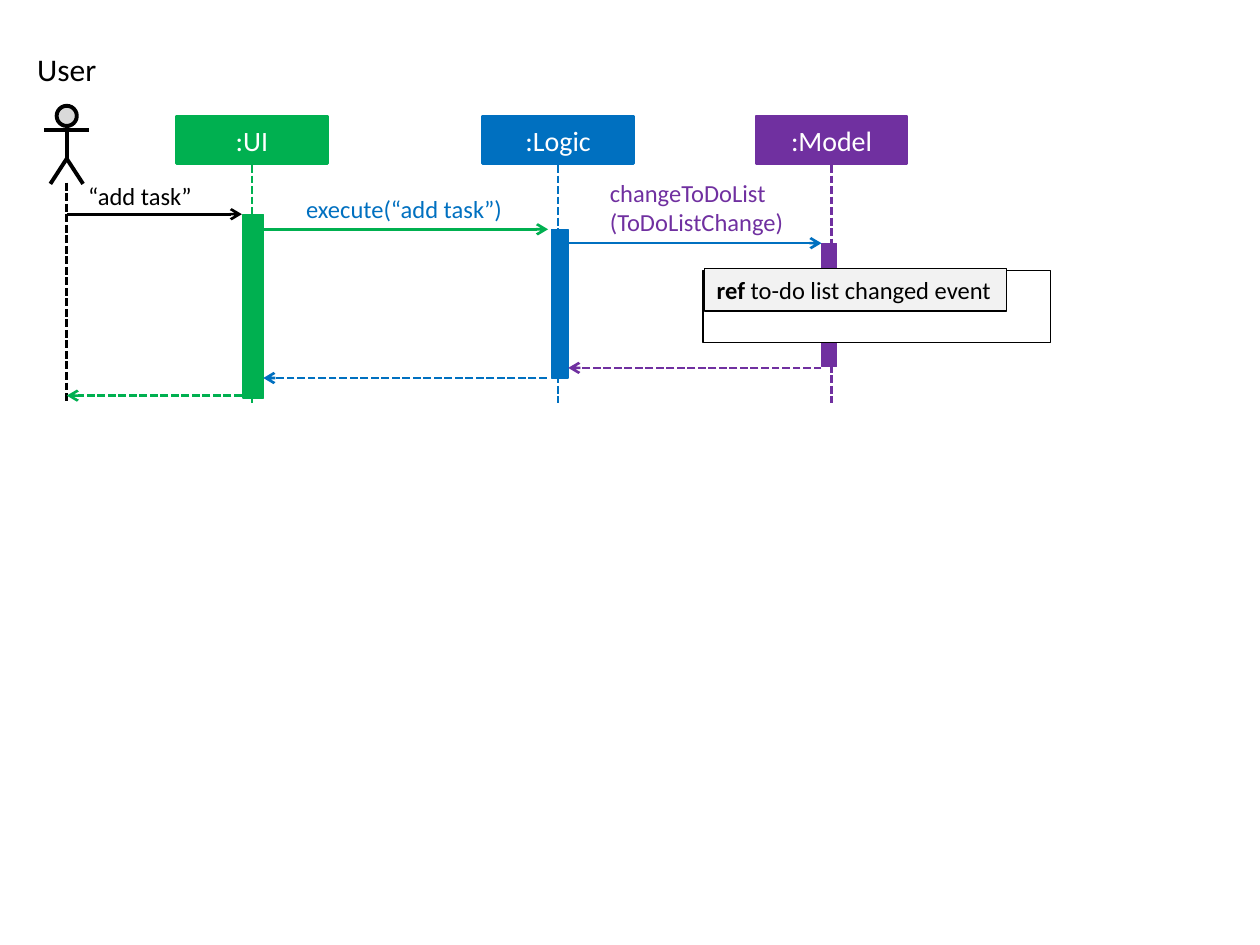
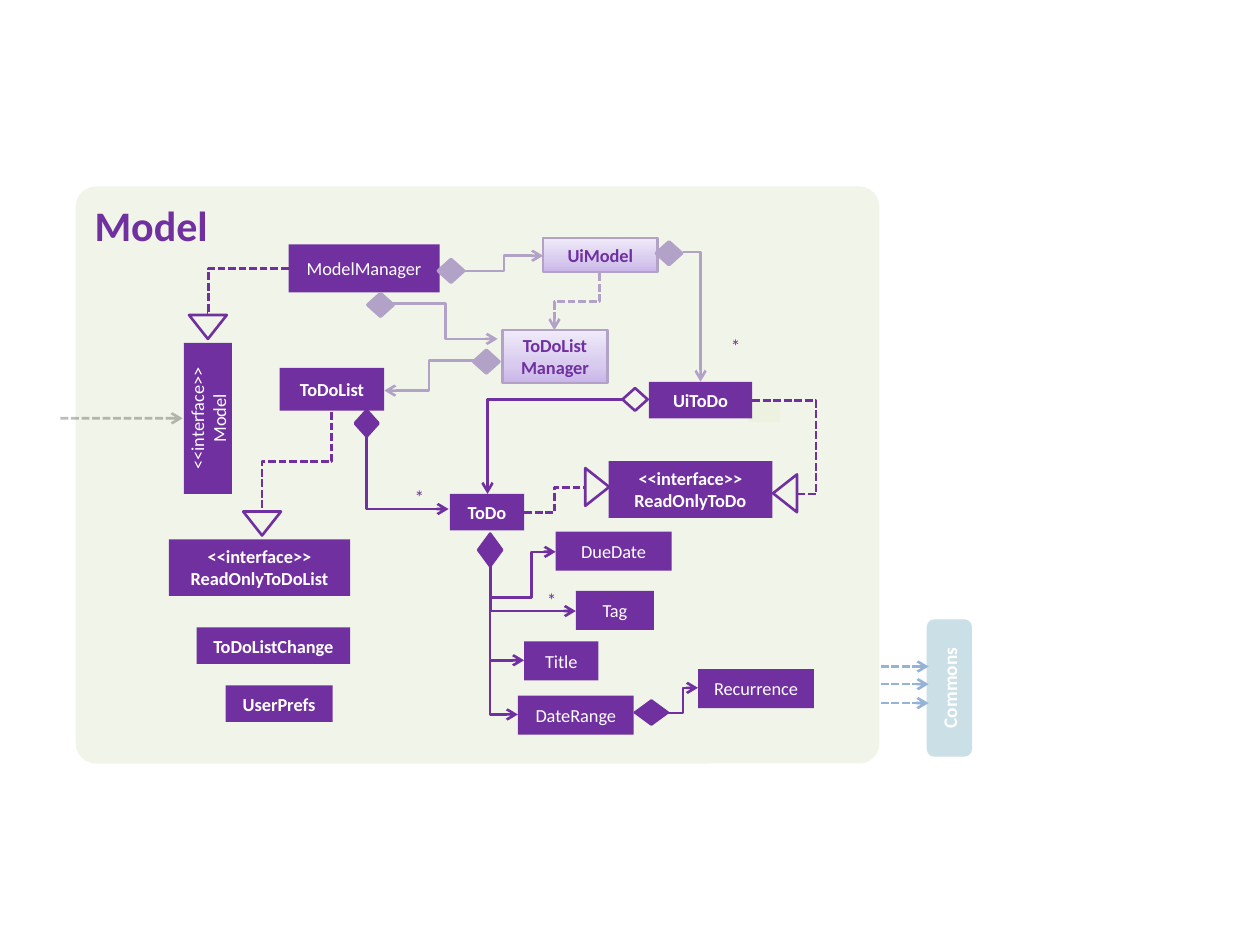
"""Build a sequence diagram slide and a class diagram slide."""
from copy import deepcopy
from dataclasses import dataclass
from typing import Any

from lxml import etree
from pptx import Presentation
from pptx import util as u
from pptx.dml.color import RGBColor
from pptx.enum import dml, shapes, text
from pptx.oxml.ns import qn

FONT = "Calibri"
COLORS = {
    "black": "000000", "white": "FFFFFF", "head": "D9D9D9", "ref": "F2F2F2",
    "ui": "00B050", "logic": "0070C0", "model": "7030A0", "lilac": "B3A2C7",
    "panel": "F1F5E9", "patch": "EBF1DE", "commons": "31859C", "commons_link": "95B3D7",
}
LILAC_GRADIENT = ((0, "C9B5E8"), (0.35, "D8CBEE"), (1, "F0EAF9"))
KIND = shapes.MSO_SHAPE
LEFT, CENTER = text.PP_ALIGN.LEFT, text.PP_ALIGN.CENTER


@dataclass
class Box:
    """A preset shape with an optional label, one paragraph per line."""
    left: float
    top: float
    width: float
    height: float
    label: str = ""
    fill: str | None = "model"
    line: str | None = None
    weight: float = 1.5
    kind: Any = KIND.RECTANGLE
    rotation: float = 0
    size: float = 10.5
    bold: bool = False
    alpha: int = 100


@dataclass
class Link:
    """A line whose route names its legs: h for horizontal, v for vertical."""
    x1: float
    y1: float
    x2: float
    y2: float
    route: str = "h"
    color: str = "model"
    dashed: bool = False
    arrow: bool = True
    bends: tuple[float, ...] = (0.5,)
    weight: float = 1.5
    alpha: int = 100


@dataclass
class Lane:
    """A participant of the sequence diagram with its activation bar."""
    label: str
    color: str
    left: float
    bar_left: float
    bar_top: float
    bar_width: float
    bar_height: float


def rgb(name: str) -> RGBColor:
    """Return a colour of the palette."""
    return RGBColor.from_string(COLORS[name])


def set_alpha(element: Any, percent: int) -> None:
    """Make every colour in an element partly transparent."""
    if percent < 100:
        for color in element.spPr.iter(qn("a:srgbClr")):
            etree.SubElement(color, qn("a:alpha")).set("val", str(percent * 1000))


def write(frame: Any, lines: list[list[tuple[str, bool]]], size: float, color: str,
          align: Any = LEFT) -> None:
    """Write paragraphs of (text, bold) runs into a text frame."""
    for index, runs in enumerate(lines):
        paragraph = frame.add_paragraph() if index else frame.paragraphs[0]
        paragraph.alignment = align
        for words, bold in runs:
            run = paragraph.add_run()
            run.text = words
            run.font.name, run.font.size, run.font.bold = FONT, u.Pt(size), bold
            run.font.color.rgb = rgb(color)


def fill_gradient(fill: Any, element: Any) -> None:
    """Fill a shape with the three-stop lilac gradient."""
    fill.gradient()
    fill.gradient_angle = 90
    stops = element.spPr.find(qn("a:gradFill")).find(qn("a:gsLst"))
    stops.insert(1, deepcopy(stops[0]))
    for stop, (position, color) in zip(fill.gradient_stops, LILAC_GRADIENT):
        stop.position = position
        stop.color.rgb = RGBColor.from_string(color)


def add_box(parent: Any, box: Box) -> Any:
    """Draw a box on a slide or in a group."""
    shape = parent.shapes.add_shape(
        box.kind, *map(u.Inches, (box.left, box.top, box.width, box.height)))
    shape.shadow.inherit = False
    shape.rotation = box.rotation
    if box.fill == "gradient":
        fill_gradient(shape.fill, shape.element)
    elif box.fill:
        shape.fill.solid()
        shape.fill.fore_color.rgb = rgb(box.fill)
    else:
        shape.fill.background()
    if box.line:
        shape.line.color.rgb = rgb(box.line)
        shape.line.width = u.Pt(box.weight)
    else:
        shape.line.fill.background()
    set_alpha(shape.element, box.alpha)
    if box.label:
        color = "model" if box.fill == "gradient" else "white"
        lines = [[(line, box.bold)] for line in box.label.split("\n")]
        write(shape.text_frame, lines, box.size, color, CENTER)
    return shape


def bend(connector: Any, link: Link) -> None:
    """Give an elbow connector its legs, turning it if it starts vertically."""
    properties = connector.element.spPr
    if link.route[0] == "v":
        dx, dy = link.x2 - link.x1, link.y2 - link.y1
        width, height = abs(dy), abs(dx)
        connector.left = u.Inches((link.x1 + link.x2 - width) / 2)
        connector.top = u.Inches((link.y1 + link.y2 - height) / 2)
        connector.width, connector.height = u.Inches(width), u.Inches(height)
        flip_h, flip_v, turn = dy < 0, dx > 0, 90
        if dx > 0 and dy > 0:
            flip_h, flip_v, turn = True, False, 270
        frame = properties.find(qn("a:xfrm"))
        frame.set("rot", str(turn * 60000))
        frame.set("flipH", str(int(flip_h)))
        frame.set("flipV", str(int(flip_v)))
    geometry = properties.find(qn("a:prstGeom"))
    geometry.set("prst", f"bentConnector{len(link.route)}")
    for old in list(geometry):
        geometry.remove(old)
    guides = etree.SubElement(geometry, qn("a:avLst"))
    if len(link.route) > 2:
        for index, value in enumerate(link.bends, 1):
            guide = etree.SubElement(guides, qn("a:gd"))
            guide.set("name", "adj1" if len(link.bends) == 1 else f"adj{index}")
            guide.set("fmla", f"val {round(value * 100000)}")


def add_link(parent: Any, link: Link) -> None:
    """Draw a straight or bent line on a slide or in a group."""
    straight = len(link.route) == 1
    kind = shapes.MSO_CONNECTOR.STRAIGHT if straight else shapes.MSO_CONNECTOR.ELBOW
    connector = parent.shapes.add_connector(
        kind, *map(u.Inches, (link.x1, link.y1, link.x2, link.y2)))
    if not straight:
        bend(connector, link)
    connector.line.color.rgb = rgb(link.color)
    connector.line.width = u.Pt(link.weight)
    if link.dashed:
        connector.line.dash_style = dml.MSO_LINE.SQUARE_DOT
    properties = connector.element.spPr
    if link.arrow:
        etree.SubElement(properties.find(qn("a:ln")), qn("a:tailEnd")).set("type", "arrow")
    etree.SubElement(properties, qn("a:effectLst"))
    set_alpha(connector.element, link.alpha)


def add_label(slide: Any, left: float, top: float, width: float, height: float,
              label: str, size: float, color: str) -> None:
    """Add a text box without margins."""
    frame = slide.shapes.add_textbox(*map(u.Inches, (left, top, width, height))).text_frame
    frame.word_wrap = True
    frame.margin_left = frame.margin_right = frame.margin_top = frame.margin_bottom = 0
    write(frame, [[(line, False)] for line in label.split("\n")], size, color)


def add_actor(slide: Any) -> None:
    """Draw the stick figure with its name and lifeline."""
    group = slide.shapes.add_group_shape()
    add_box(group, Box(0.45, 0.84, 0.16, 0.16, fill="head", line="black", weight=2.25,
                       kind=KIND.FLOWCHART_CONNECTOR))
    for ends in ((0.53, 0.99, 0.53, 1.27), (0.35, 1.03, 0.71, 1.03)):
        add_link(group, Link(*ends, color="black", arrow=False, weight=2.25))
    builder = group.shapes.build_freeform(u.Inches(0.4), u.Inches(1.46))
    builder.add_line_segments(
        [(u.Inches(0.53), u.Inches(1.26)), (u.Inches(0.66), u.Inches(1.46))], close=False)
    legs = builder.convert_to_shape()
    legs.shadow.inherit = False
    legs.fill.background()
    legs.line.color.rgb = rgb("black")
    legs.line.width = u.Pt(2.25)
    add_link(slide, Link(0.53, 1.45, 0.53, 3.2, color="black", dashed=True, arrow=False))
    frame = slide.shapes.add_textbox(*map(u.Inches, (0.19, 0.35, 0.68, 0.4))).text_frame
    frame.word_wrap = False
    write(frame, [[("User", False)]], 18, "black", CENTER)


def build_sequence(presentation: Any) -> None:
    """Build the sequence diagram."""
    slide = presentation.slides.add_slide(presentation.slide_layouts[6])
    for lane in (Lane(":UI", "ui", 1.4, 1.93, 1.7, 0.16, 1.46),
                 Lane(":Logic", "logic", 3.83, 4.38, 1.82, 0.13, 1.18),
                 Lane(":Model", "model", 6, 6.52, 1.93, 0.12, 0.98)):
        add_box(slide, Box(lane.left, 0.92, 1.2, 0.38, lane.label, lane.color, lane.color,
                           size=16))
        middle = lane.left + 0.6
        add_link(slide, Link(middle, 1.31, middle, 3.2, color=lane.color, dashed=True,
                             arrow=False))
        add_box(slide, Box(lane.bar_left, lane.bar_top, lane.bar_width, lane.bar_height,
                           fill=lane.color, line=lane.color, weight=0.75))
    add_actor(slide)
    for start, end, y, color in ((0.53, 1.92, 1.7, "black"), (2.09, 4.35, 1.82, "ui"),
                                 (4.51, 6.52, 1.93, "logic"), (6.52, 4.51, 2.92, "model"),
                                 (4.34, 2.09, 3, "logic"), (1.92, 0.53, 3.14, "ui")):
        add_link(slide, Link(start, y, end, y, color=color, dashed=end < start))
    add_label(slide, 0.7, 1.44, 0.88, 0.24, "“add task”", 14, "black")
    add_label(slide, 2.43, 1.54, 1.8, 0.24, "execute(“add task”)", 14, "logic")
    add_label(slide, 4.84, 1.41, 1.55, 0.47, "changeToDoList\n(ToDoListChange)", 14, "model")
    add_box(slide, Box(5.58, 2.15, 2.76, 0.57, fill="white", line="black", weight=0.75))
    reference = add_box(slide, Box(5.59, 2.13, 2.4, 0.34, fill="ref", line="black",
                                   weight=0.75))
    reference.text_frame.word_wrap = False
    write(reference.text_frame, [[("ref ", True), ("to-do list changed event", False)]],
          14, "black")


def add_panel(slide: Any) -> None:
    """Draw the panel behind the slide title."""
    panel = add_box(slide, Box(0.6, 1.48, 6.38, 4.58, fill="panel",
                               kind=KIND.ROUNDED_RECTANGLE))
    panel.adjustments[0] = 0.035
    title = slide.shapes.title
    title.left, title.top, title.width, title.height = map(u.Inches, (0.65, 1.53, 6.28, 0.5))
    title.text_frame.vertical_anchor = text.MSO_ANCHOR.TOP
    title.text_frame.auto_size = text.MSO_AUTO_SIZE.NONE
    write(title.text_frame, [[("Model", True)]], 24, "model")
    title.element.addprevious(panel.element)


def build_classes(presentation: Any) -> None:
    """Build the class diagram."""
    slide = presentation.slides.add_slide(presentation.slide_layouts[5])
    add_panel(slide)
    boxes = [
        Box(5.94, 3.17, 0.25, 0.18, fill="patch", alpha=80),
        Box(4.31, 1.89, 0.91, 0.27, "UiModel", "gradient", "lilac", bold=True),
        Box(3.99, 2.62, 0.83, 0.42, "ToDoListManager", "gradient", "lilac", bold=True),
        Box(2.29, 1.94, 1.2, 0.38, "ModelManager"),
        Box(1.05, 3.13, 1.2, 0.38, "<<interface>>\nModel", rotation=270),
        Box(5.15, 3.03, 0.82, 0.29, "UiToDo", bold=True),
        Box(2.22, 2.92, 0.83, 0.34, "ToDoList", bold=True),
        Box(4.83, 3.66, 1.3, 0.45, "<<interface>>\nReadOnlyToDo", bold=True),
        Box(3.57, 3.92, 0.59, 0.29, "ToDo", bold=True),
        Box(1.34, 4.28, 1.44, 0.45, "<<interface>>\nReadOnlyToDoList", bold=True),
        Box(1.56, 4.98, 1.22, 0.29, "ToDoListChange", bold=True),
        Box(1.79, 5.44, 0.85, 0.29, "UserPrefs", bold=True),
        Box(4.41, 4.22, 0.92, 0.31, "DueDate"), Box(4.57, 4.69, 0.62, 0.31, "Tag"),
        Box(4.16, 5.09, 0.59, 0.31, "Title"), Box(4.11, 5.52, 0.92, 0.31, "DateRange"),
        Box(5.54, 5.31, 0.92, 0.31, "Recurrence"),
        Box(6.99, 5.28, 1.09, 0.36, "Commons", "commons", kind=KIND.ROUNDED_RECTANGLE,
            rotation=270, size=11, bold=True, alpha=25),
    ]
    boxes += [Box(left, top, 0.3, 0.19, fill="panel", line="model",
                  kind=KIND.ISOSCELES_TRIANGLE, rotation=turn)
              for left, top, turn in ((1.5, 2.5, 180), (1.93, 4.06, 180),
                                      (4.59, 3.77, 90), (6.08, 3.82, 270))]
    boxes += [Box(left, top, width, height, fill=fill, line=line, weight=weight,
                  kind=KIND.FLOWCHART_DECISION, rotation=turn)
              for left, top, width, height, fill, line, weight, turn in (
                  (3.48, 2.06, 0.2, 0.18, "lilac", "lilac", 2, 0),
                  (5.21, 1.92, 0.2, 0.18, "lilac", "lilac", 2, 0),
                  (2.92, 2.33, 0.2, 0.18, "lilac", "lilac", 2, 0),
                  (3.76, 2.78, 0.2, 0.18, "lilac", "lilac", 2, 180),
                  (2.81, 3.27, 0.2, 0.18, "model", "model", 2, 90),
                  (4.94, 3.08, 0.2, 0.18, None, "model", 1.5, 180),
                  (3.76, 4.27, 0.26, 0.19, "model", "model", 1.5, 90),
                  (5.04, 5.56, 0.26, 0.19, "model", "model", 1.5, 0))]
    for box in boxes:
        add_box(slide, box)
    links = [
        Link(3.69, 2.15, 4.31, 2.03, "hvh", "lilac"),
        Link(5.42, 2, 5.56, 3.03, "hv", "lilac"),
        Link(3.12, 2.41, 3.95, 2.69, "hvh", "lilac"),
        Link(4.76, 2.17, 4.4, 2.62, "vhv", "lilac", dashed=True),
        Link(3.76, 2.86, 3.05, 3.1, "hvh", "lilac"),
        Link(0.48, 3.32, 1.45, 3.32, color="black", dashed=True, alpha=25),
        Link(2.29, 2.13, 1.64, 2.49, "hvh", dashed=True, arrow=False, bends=(0.98,)),
        Link(4.16, 4.07, 4.64, 3.87, "hvh", dashed=True, arrow=False),
        Link(2.63, 3.27, 2.08, 4.06, "vhv", dashed=True, arrow=False),
        Link(5.97, 3.18, 6.32, 3.92, "hvh", dashed=True, arrow=False, bends=(1.45,)),
        Link(2.91, 3.46, 3.56, 4.04, "vh"), Link(4.94, 3.17, 3.87, 3.92, "hv"),
        Link(5.3, 5.66, 5.54, 5.46, "hvh"),
        Link(3.89, 4.49, 4.41, 4.38, "vhvh", bends=(-2.3, 0.63)),
    ]
    links += [Link(3.89, 4.49, x, y, "vh")
              for x, y in ((4.57, 4.85), (4.16, 5.24), (4.11, 5.67))]
    links += [Link(6.99, y, 7.37, y, color="commons_link", dashed=True)
              for y in (5.29, 5.43, 5.58)]
    for link in links:
        add_link(slide, link)
    for left, top in ((5.8, 2.65), (3.29, 3.85), (4.34, 4.67)):
        add_label(slide, left, top, 0.8, 0.25, "*", 11, "model")


def main() -> None:
    """Build and save the presentation."""
    presentation = Presentation()
    presentation.slide_width, presentation.slide_height = u.Inches(10), u.Inches(7.5)
    build_sequence(presentation)
    build_classes(presentation)
    presentation.save("out.pptx")


main()
